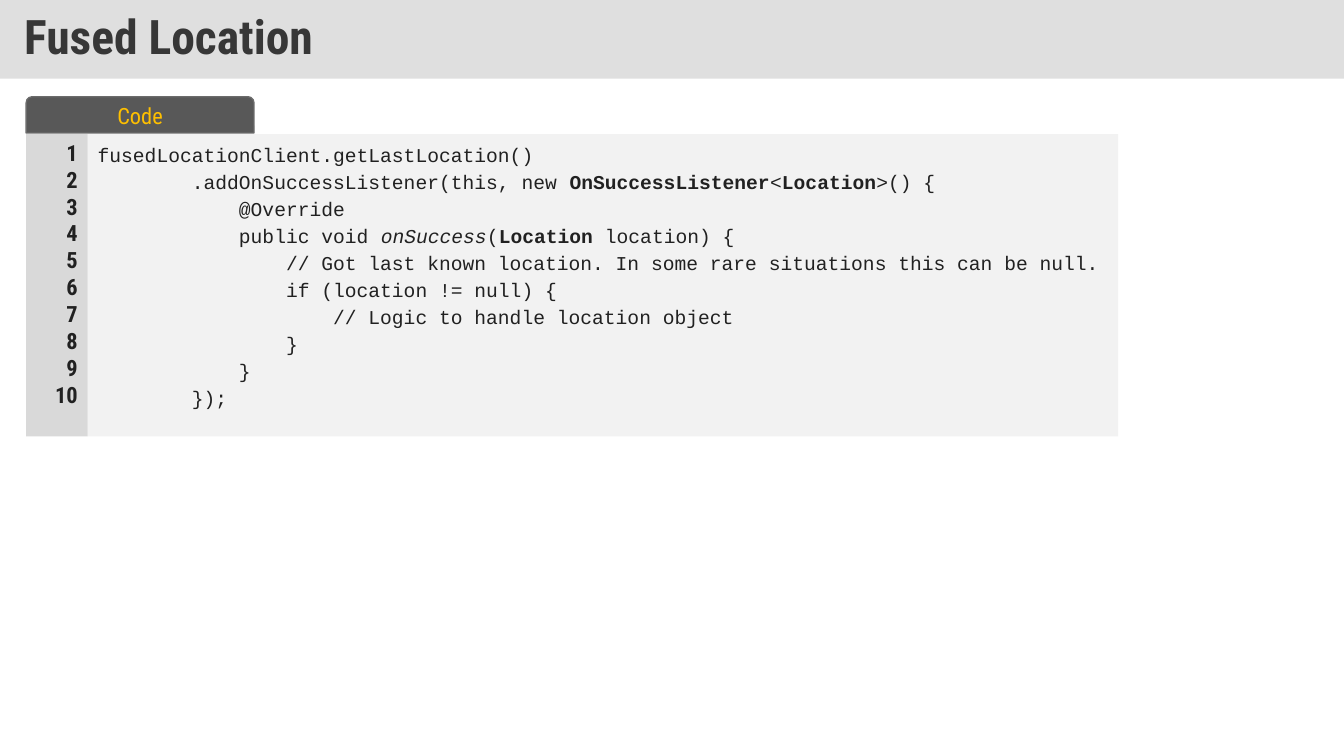
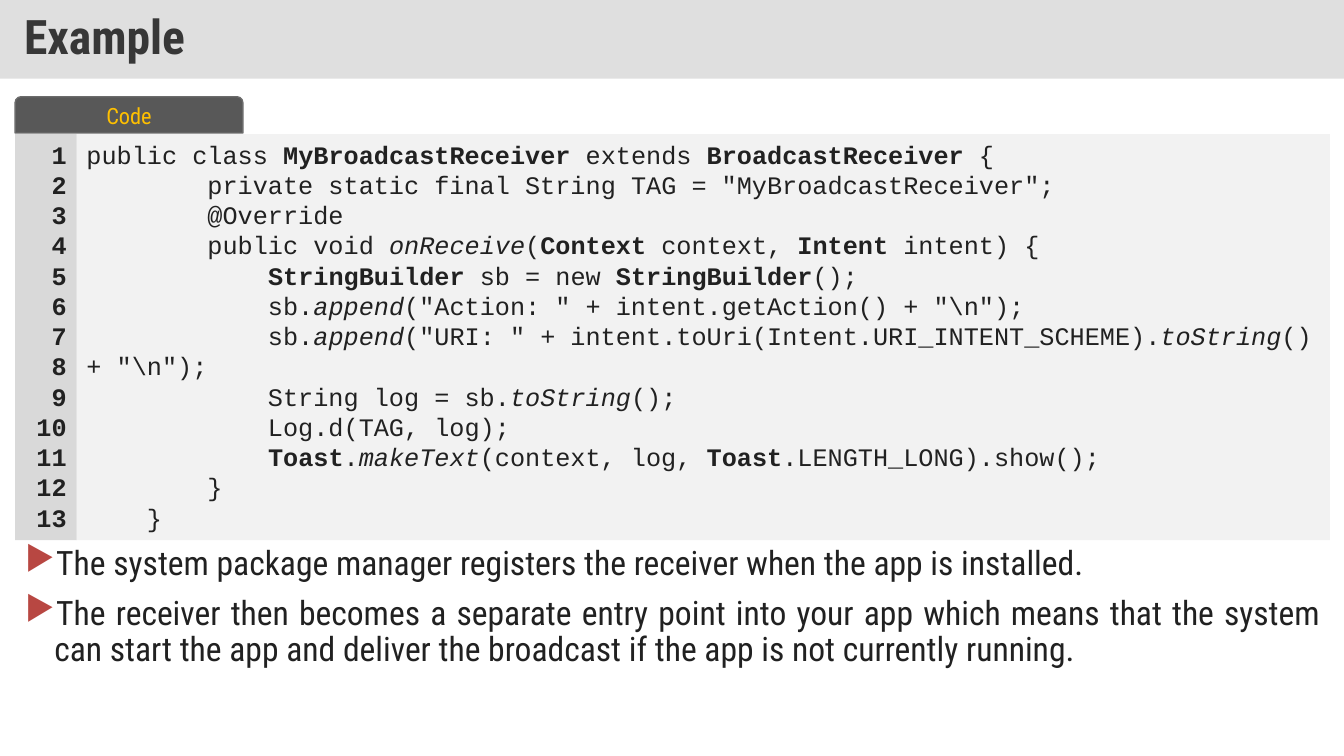
from lxml import etree
from pptx import Presentation
from pptx.dml.color import RGBColor
from pptx.enum.shapes import MSO_SHAPE
from pptx.enum.text import MSO_ANCHOR, PP_ALIGN
from pptx.oxml.ns import qn
from pptx.util import Inches, Pt

RECT, TAB = MSO_SHAPE.RECTANGLE, MSO_SHAPE.ROUND_2_SAME_RECTANGLE
TOP, MID = MSO_ANCHOR.TOP, MSO_ANCHOR.MIDDLE
LEFT, MIDDLE, RIGHT, FULL = PP_ALIGN.LEFT, PP_ALIGN.CENTER, PP_ALIGN.RIGHT, PP_ALIGN.JUSTIFY
SANS, MONO = "Roboto Condensed", "Courier New"
INK, DARK, GOLD, RED = "212121", "373737", "FFC000", "B84742"
BAND, SLATE, EDGE, PALE, GREY = "C0C0C0", "585858", "6B6B6B", "F2F2F2", "D9D9D9"
WIDE, HIGH = 13.33, 7.5
TAB_TOP, CODE_TOP, GUTTER = 0.96, 1.33, 0.61

LOCATE = r"""fusedLocationClient.getLastLocation()
        .addOnSuccessListener(this, new ^OnSuccessListener^<^Location^>() {
            @Override
            public void ~onSuccess~(^Location^ location) {
                // Got last known location. In some rare situations this can be null.
                if (location != null) {
                    // Logic to handle location object
                }
            }
        });"""

RECEIVE = r"""public class ^MyBroadcastReceiver^ extends ^BroadcastReceiver^ {
        private static final String TAG = "MyBroadcastReceiver";
        @Override
        public void ~onReceive~(^Context^ context, ^Intent^ intent) {
            ^StringBuilder^ sb = new ^StringBuilder^();
            sb.~append~("Action: " + intent.getAction() + "\n");
            sb.~append~("URI: " + intent.toUri(Intent.URI_INTENT_SCHEME).~toString~() + "\n");
            String log = sb.~toString~();
            Log.d(TAG, log);
            ^Toast^.~makeText~(context, log, ^Toast^.LENGTH_LONG).show();
        }
    }"""

POINTS = [
    "The system package manager registers the receiver when the app is installed.",
    "The receiver then becomes a separate entry point into your app which means that "
    "the system can start the app and deliver the broadcast if the app is not "
    "currently running.",
]


def color(code):
    return RGBColor.from_string(code)


class Deck:
    """Holds the shared style and the current slide, and draws each kind of element."""

    def __init__(self):
        self.show = Presentation()
        self.show.slide_width, self.show.slide_height = Inches(WIDE), Inches(HIGH)
        self.slide = None

    def page(self, title):
        self.slide = self.show.slides.add_slide(self.show.slide_layouts[6])
        band = self.block(RECT, 0, 0, WIDE, 0.78, BAND)
        fill = band._element.spPr.find(qn("a:solidFill"))[0]
        etree.SubElement(fill, qn("a:alpha"), val="50000")
        frame = band.text_frame
        frame.margin_left = frame.margin_right = Inches(0.24)
        frame.margin_top = frame.margin_bottom = Inches(0.12)
        self.text(frame, [title], SANS, 34, DARK, bold=True, lead=0.9, anchor=MID)

    def block(self, kind, x, y, w, h, fill, edge=None):
        shape = self.slide.shapes.add_shape(kind, Inches(x), Inches(y), Inches(w), Inches(h))
        shape.shadow.inherit = False
        shape.fill.solid()
        shape.fill.fore_color.rgb = color(fill)
        if edge:
            shape.line.color.rgb = color(edge)
            shape.line.width = Pt(1)
        else:
            shape.line.fill.background()
        return shape

    def text(self, frame, lines, font, size, ink, bold=None, align=LEFT,
             lead=None, gap=0, anchor=TOP, bullet=None):
        frame.word_wrap = True
        frame.vertical_anchor = anchor
        for n, line in enumerate(lines):
            para = frame.add_paragraph() if n else frame.paragraphs[0]
            para.alignment = align
            if lead:
                para.line_spacing = lead
            if n and gap:
                para.space_before = Pt(gap)
            if bullet:
                self.mark(para, bullet)
            para.font.name, para.font.size, para.font.bold = font, Pt(size), bold
            para.font.color.rgb = color(ink)
            self.runs(para, line)

    def mark(self, para, bullet):
        props = para._p.get_or_add_pPr()
        props.set("marL", str(Inches(0.29)))
        props.set("indent", str(-Inches(0.29)))
        tint = etree.SubElement(props, qn("a:buClr"))
        etree.SubElement(tint, qn("a:srgbClr"), val=RED)
        etree.SubElement(props, qn("a:buChar"), char=bullet)

    def runs(self, para, line):
        for b, part in enumerate(line.split("^")):
            for i, text in enumerate(part.split("~")):
                if text:
                    run = para.add_run()
                    run.text = text
                    if b % 2:
                        run.font.bold = True
                    if i % 2:
                        run.font.italic = True

    def code(self, text, x, w, h, size, count, font, digit, lead=None):
        tab = self.block(TAB, x, TAB_TOP, 2.26, 0.36, SLATE, EDGE)
        self.text(tab.text_frame, ["Code"], SANS, 16, GOLD, align=MIDDLE, anchor=MID)
        panel = self.block(RECT, x + GUTTER, CODE_TOP, w, h, PALE)
        self.text(panel.text_frame, text.split("\n"), MONO, size, INK, lead=lead)
        side = self.block(RECT, x, CODE_TOP, GUTTER, h, GREY)
        digits = [str(n) for n in range(1, count + 1)]
        self.text(side.text_frame, digits, font, digit, INK, bold=True, align=RIGHT)

    def points(self, lines, x, y, w, h):
        box = self.slide.shapes.add_textbox(Inches(x), Inches(y), Inches(w), Inches(h))
        self.text(box.text_frame, lines, SANS, 24, INK, align=FULL,
                  lead=0.9, gap=10, bullet="▶")


def main():
    deck = Deck()
    deck.page("Fused Location")
    deck.code(LOCATE, 0.26, 10.22, 3, 14, 10, SANS, 16, lead=1.15)
    deck.page("Example")
    deck.code(RECEIVE, 0.15, 12.43, 4.03, 18, 13, MONO, 18)
    deck.points(POINTS, 0.15, 5.37, 13.05, 1.61)
    deck.show.save("out.pptx")


if __name__ == "__main__":
    main()
